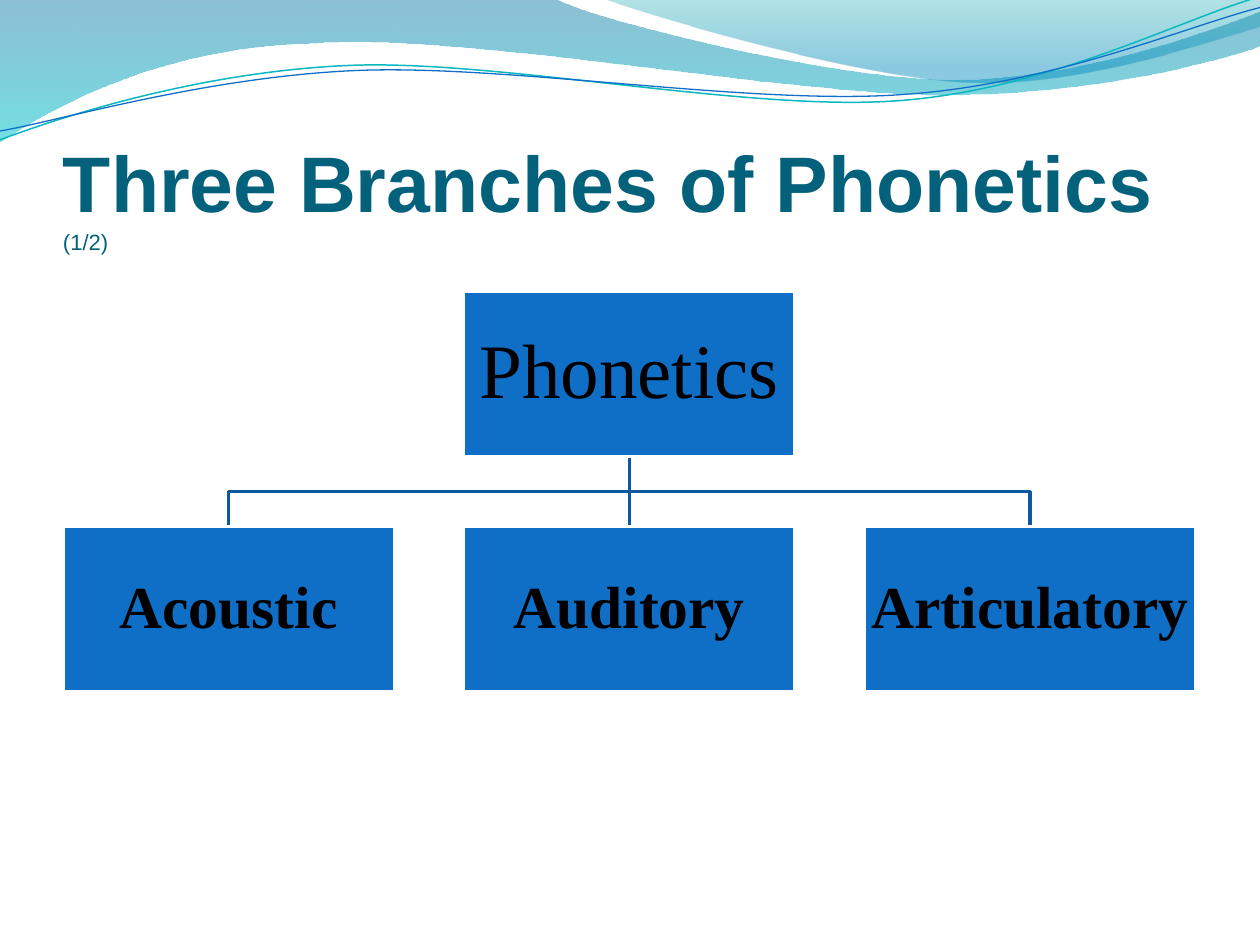
from lxml.etree import SubElement
from pptx import Presentation
from pptx.dml.color import RGBColor
from pptx.enum.shapes import MSO_SHAPE
from pptx.enum.text import MSO_ANCHOR, PP_ALIGN
from pptx.oxml.ns import qn
from pptx.util import Inches, Pt

WHITE = RGBColor(0xFF, 0xFF, 0xFF)
BLACK = RGBColor(0x00, 0x00, 0x00)
TITLE_TEAL = RGBColor(0x04, 0x61, 0x7B)
BLUE = RGBColor(0x0F, 0x6F, 0xC6)
DARK_BLUE = RGBColor(0x0C, 0x59, 0x9F)
WAVE_TEAL = RGBColor(0x0A, 0xB8, 0xBF)

# Gradient stops: position, colour, opacity in percent
LEFT_WAVE_STOPS = [(0, RGBColor(0x00, 0x74, 0xA1), 45),
                   (1, RGBColor(0x00, 0xC6, 0xCF), 55)]
RIGHT_WAVE_STOPS = [(0, RGBColor(0x00, 0xA1, 0xA9), 30),
                    (0.8, RGBColor(0x00, 0x8B, 0xBF), 45)]

# Outlines: two numbers are a line to a point, six are a cubic curve
LEFT_WAVE = [(0, 0), (4.4, -0.01),
             (4.76, 0.17, 6.64, 0.63, 7.58, 0.63),
             (8.53, 0.63, 9.58, 0.26, 10, 0.09), (10.01, 0.36),
             (9.83, 0.44, 8.7, 0.76, 7.46, 0.75),
             (6.22, 0.75, 3.82, 0.28, 2.57, 0.34),
             (1.29, 0.36, 0.46, 0.83, -0.01, 1.13), (0, 0)]
RIGHT_WAVE = [(4.79, -0.01),
              (5.09, 0.11, 6.82, 0.62, 7.69, 0.65),
              (8.56, 0.69, 9.61, 0.32, 10, 0.21), (10, 0), (4.79, -0.01)]
TEAL_STRAND = [(0, 1.11),
               (0.48, 0.93, 1.58, 0.57, 2.77, 0.52),
               (3.95, 0.47, 5.93, 0.89, 7.13, 0.8),
               (8.33, 0.71, 9.38, 0.15, 9.98, -0.02)]
BLUE_STRAND = [(0, 1.04),
               (0.47, 0.96, 1.64, 0.61, 2.83, 0.56),
               (4.03, 0.51, 5.97, 0.84, 7.17, 0.75),
               (8.36, 0.67, 9.41, 0.21, 10, 0.06)]

BRANCHES = ["Acoustic", "Auditory", "Articulatory"]
BOX_W = 2.63
BOX_H = BOX_W / 2
BOX_LEFT, BOX_PITCH = 0.5, 3.18
ROOT_TOP, BRANCH_TOP = 2.31, 4.18


def add_text(paragraph, text, *, font, size, color, bold=False):
    run = paragraph.add_run()
    run.text = text
    run.font.name = font
    run.font.size = Pt(size)
    run.font.bold = bold
    run.font.color.rgb = color


class SlideBuilder:
    heading_font = "Arial"
    box_font = "Times New Roman"

    def __init__(self, slide):
        self.shapes = slide.shapes

    def outline(self, steps, close):
        """Draw a freeform through the step ends, then bend its curved steps."""
        first, *rest = [(Inches(step[-2]), Inches(step[-1])) for step in steps]
        builder = self.shapes.build_freeform(*first)
        builder.add_line_segments(rest, close=close)
        shape = builder.convert_to_shape()
        shape.shadow.inherit = False
        segments = list(shape._element.iter(qn("a:lnTo")))
        for step, segment in zip(steps[1:], segments):
            if len(step) == 6:
                curve = segment.makeelement(qn("a:cubicBezTo"))
                for x, y in zip(step[::2], step[1::2]):
                    SubElement(curve, qn("a:pt"), x=str(Inches(x) - shape.left),
                               y=str(Inches(y) - shape.top))
                segment.getparent().replace(segment, curve)
        return shape

    def wave(self, steps, stops):
        wave = self.outline(steps, close=True)
        wave.fill.gradient()
        wave.fill.gradient_angle = 270
        for stop, (position, color, _) in zip(wave.fill.gradient_stops, stops):
            stop.position = position
            stop.color.rgb = color
        colors = list(wave._element.spPr.iter(qn("a:srgbClr")))
        for color, (_, _, opacity) in zip(colors, stops):
            SubElement(color, qn("a:alpha"), val=str(opacity * 1000))
        wave.line.fill.background()

    def strand(self, steps, color, width):
        strand = self.outline(steps, close=False)
        strand.fill.background()
        strand.line.color.rgb = color
        strand.line.width = Pt(width)
        return strand

    def stem(self, x, top, bottom):
        """Draw an upright line centred in a narrow frame."""
        stem = self.strand([(x, top), (x, bottom)], DARK_BLUE, 2)
        margin = Inches(0.05)
        stem.left -= margin
        stem.width = 2 * margin
        path = next(stem._element.iter(qn("a:path")))
        path.set("w", str(2 * margin))
        for point in path.iter(qn("a:pt")):
            point.set("x", str(margin))

    def title(self, text, page):
        box = self.shapes.add_textbox(Inches(0.5), Inches(0.77), Inches(9), Inches(1.25))
        frame = box.text_frame
        frame.word_wrap = True
        frame.vertical_anchor = MSO_ANCHOR.BOTTOM
        frame.margin_left = frame.margin_right = frame.margin_bottom = 0
        paragraph = frame.paragraphs[0]
        add_text(paragraph, text, font=self.heading_font, size=45, color=TITLE_TEAL, bold=True)
        add_text(paragraph, page, font=self.heading_font, size=12.6, color=TITLE_TEAL)

    def box(self, text, column, top, size, bold, margin):
        box = self.shapes.add_shape(
            MSO_SHAPE.RECTANGLE, Inches(BOX_LEFT + column * BOX_PITCH), Inches(top),
            Inches(BOX_W), Inches(BOX_H))
        box.shadow.inherit = False
        box.fill.solid()
        box.fill.fore_color.rgb = BLUE
        box.line.color.rgb = WHITE
        box.line.width = Pt(2)
        frame = box.text_frame
        frame.word_wrap = True
        frame.vertical_anchor = MSO_ANCHOR.MIDDLE
        frame.margin_left = frame.margin_right = Inches(margin)
        frame.margin_top = frame.margin_bottom = Inches(margin)
        paragraph = frame.paragraphs[0]
        paragraph.alignment = PP_ALIGN.CENTER
        paragraph.line_spacing = 0.9
        add_text(paragraph, text, font=self.box_font, size=size, color=BLACK, bold=bold)


def main():
    prs = Presentation()
    prs.slide_width, prs.slide_height = Inches(10), Inches(7.5)
    page = SlideBuilder(prs.slides.add_slide(prs.slide_layouts[6]))

    # Wave decoration
    page.wave(LEFT_WAVE, LEFT_WAVE_STOPS)
    page.wave(RIGHT_WAVE, RIGHT_WAVE_STOPS)
    page.strand(TEAL_STRAND, WAVE_TEAL, 0.85)
    page.strand(BLUE_STRAND, BLUE, 0.75)

    # Title
    page.title("Three Branches of Phonetics ", "(1/2)")

    # Lines from the root to the branches
    root_bottom = ROOT_TOP + BOX_H
    bend = (root_bottom + BRANCH_TOP) / 2
    left, middle, right = [BOX_LEFT + i * BOX_PITCH + BOX_W / 2 for i in range(3)]
    for end in (right, left):
        page.strand([(middle, root_bottom), (middle, bend), (end, bend), (end, BRANCH_TOP)],
                    DARK_BLUE, 2)
    page.stem(middle, root_bottom, BRANCH_TOP)

    # Root and branches
    page.box("Phonetics", 1, ROOT_TOP, size=44, bold=False, margin=0.03)
    for column, name in enumerate(BRANCHES):
        page.box(name, column, BRANCH_TOP, size=34, bold=True, margin=0.02)

    prs.save("out.pptx")


if __name__ == "__main__":
    main()
